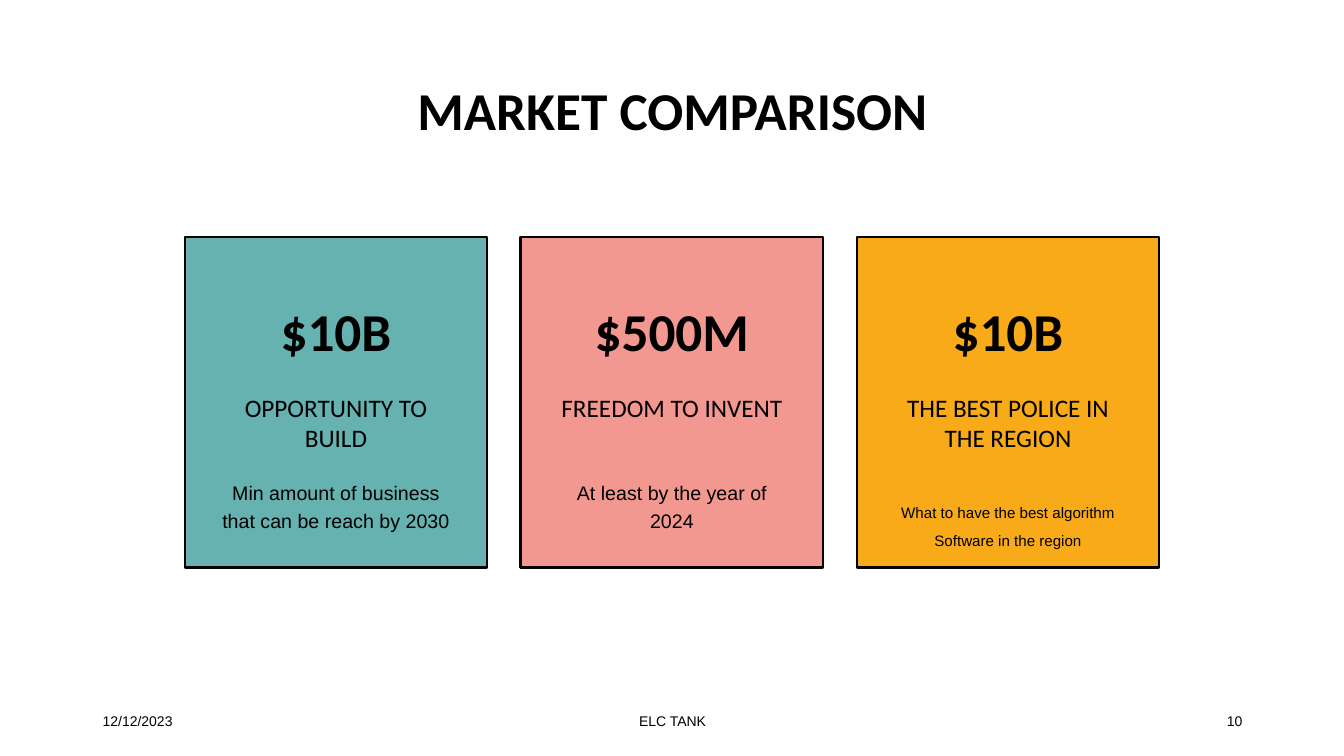
"""Build the market comparison slide: a title, three cards and a footer."""
from pptx import Presentation
from pptx.dml.color import RGBColor as RGB
from pptx.enum.shapes import MSO_SHAPE as Shape
from pptx.enum.text import MSO_ANCHOR as Anchor, MSO_AUTO_SIZE as Auto, PP_ALIGN as Align
from pptx.util import Inches, Pt

BLACK = RGB(0, 0, 0)
TEAL = RGB(0x66, 0xB2, 0xB0)
PINK = RGB(0xF3, 0x98, 0x91)
AMBER = RGB(0xF9, 0xAA, 0x19)

TITLE = "MARKET COMPARISON"
CARDS = [
    {"fill": TEAL, "sum": "$10B", "head": "OPPORTUNITY TO BUILD",
     "note": ["Min amount of business that can be reach by 2030"],
     "top": 4.68, "size": 14},
    {"fill": PINK, "sum": "$500M", "head": "FREEDOM TO INVENT",
     "note": ["At least by the year of 2024"],
     "top": 4.68, "size": 14},
    {"fill": AMBER, "sum": "$10B", "head": "THE BEST POLICE IN THE REGION",
     "note": ["What to have the best algorithm", "Software in the region"],
     "top": 4.85, "size": 10.8},
]
FOOTER = [
    ("12/12/2023", 0.92, 3, Align.LEFT),
    ("ELC TANK", 4.42, 4.5, Align.CENTER),
    ("10", 9.42, 3, Align.RIGHT),
]

WIDE, HIGH = 13.33, 7.5
CARD_W, CARD_H, CARD_TOP = 3, 3.28, 2.35
STEP = WIDE / 4
LEFT = (WIDE - 2 * STEP - CARD_W) / 2
TEXT_W, TEXT_H, HEAD_TOP = 2.5, 0.8, 3.84
FOOT_TOP, FOOT_H = 6.95, 0.4

BIG = {"name": "Calibri", "size": Pt(38), "bold": True}
HEAD = {"name": "Calibri", "size": Pt(18), "bold": False}
SMALL = {"name": "Arial", "size": Pt(10), "bold": False}


def write(shape, lines, font, align=Align.CENTER, gap=1.0, anchor=Anchor.TOP):
    """Fill a shape with formatted lines."""
    frame = shape.text_frame
    frame.text = "\n".join(lines)
    frame.word_wrap = True
    frame.auto_size = Auto.NONE
    frame.vertical_anchor = anchor
    for para in frame.paragraphs:
        para.alignment = align
        para.line_spacing = gap
        for run in para.runs:
            for key, value in font.items():
                setattr(run.font, key, value)
            run.font.color.rgb = BLACK


def add_text(slide, box, lines, font, **style):
    """Add a text box at the given place."""
    shape = slide.shapes.add_textbox(*map(Inches, box))
    write(shape, lines, font, **style)


def add_card(slide, col, card):
    """Add one coloured card with its sum, heading and note."""
    left = LEFT + col * STEP
    box = slide.shapes.add_shape(
        Shape.RECTANGLE, *map(Inches, (left, CARD_TOP, CARD_W, CARD_H)))
    box.shadow.inherit = False
    box.fill.solid()
    box.fill.fore_color.rgb = card["fill"]
    box.line.color.rgb = BLACK
    box.line.width = Pt(1.75)
    box.text_frame.margin_top = Inches(0.68)
    write(box, [card["sum"]], BIG, gap=0.9)

    inner = left + (CARD_W - TEXT_W) / 2
    add_text(slide, (inner, HEAD_TOP, TEXT_W, TEXT_H), [card["head"]], HEAD)
    add_text(slide, (inner, card["top"], TEXT_W, TEXT_H), card["note"],
             {**SMALL, "size": Pt(card["size"])}, gap=Pt(20))


def main():
    """Build and save the slide."""
    deck = Presentation()
    deck.slide_width, deck.slide_height = Inches(WIDE), Inches(HIGH)
    slide = deck.slides.add_slide(deck.slide_layouts[5])

    title = slide.shapes.title
    place = {"left": 0.92, "top": 0.4, "width": 11.5, "height": 1.45}
    for key, value in place.items():
        setattr(title, key, Inches(value))
    write(title, [TITLE], BIG, gap=0.9, anchor=Anchor.MIDDLE)

    for col, card in enumerate(CARDS):
        add_card(slide, col, card)
    for text, left, width, align in FOOTER:
        add_text(slide, (left, FOOT_TOP, width, FOOT_H), [text], SMALL,
                 align=align, anchor=Anchor.MIDDLE)
    deck.save("out.pptx")


if __name__ == "__main__":
    main()
